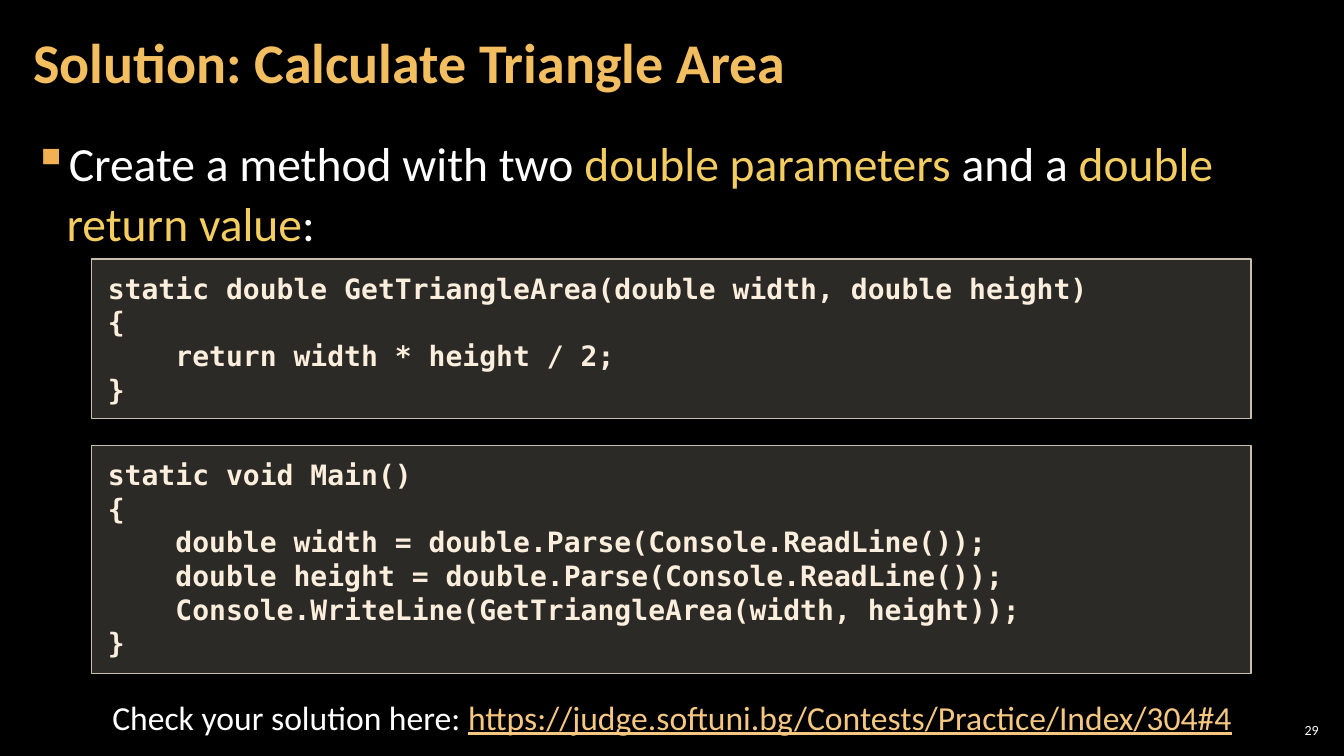
import pptx
import pptx.dml.color
import pptx.enum.shapes
import pptx.enum.text
import pptx.oxml.ns
import pptx.util
from dataclasses import dataclass
from lxml import etree

PX = 9144  # EMU per px, 100 px to the inch
ALIGN = pptx.enum.text.PP_ALIGN
ANCHOR = pptx.enum.text.MSO_ANCHOR
qn = pptx.oxml.ns.qn


@dataclass(frozen=True)
class Theme:
    background: str = "000000"
    text: str = "FFFFFF"
    title: str = "F3BE60"
    accent: str = "F3CD60"
    bullet: str = "F2B254"
    link: str = "F6C781"
    code: str = "FBEEDC"
    panel: str = "D9D5C7"
    panel_line: str = "C7BFAC"
    panel_alpha: int = 20
    font: str = "Calibri"
    code_font: str = "DejaVu Sans Mono"
    title_size: int = 40
    body_size: int = 34
    link_size: int = 24
    code_size: int = 20
    number_size: int = 10


THEME = Theme()

METHOD_CODE = """static double GetTriangleArea(double width, double height)
{
    return width * height / 2;
}"""

MAIN_CODE = """static void Main()
{
    double width = double.Parse(Console.ReadLine());
    double height = double.Parse(Console.ReadLine());
    Console.WriteLine(GetTriangleArea(width, height));
}"""


def px(n):
    return pptx.util.Emu(n * PX)


def rgb(color):
    return pptx.dml.color.RGBColor.from_string(color)


def add_run(p, text, size, color=THEME.text, font=THEME.font, bold=False, underline=False):
    r = p.add_run()
    r.text = text
    r.font.name, r.font.size = font, pptx.util.Pt(size)
    r.font.color.rgb = rgb(color)
    r.font.bold, r.font.underline = bold, underline


def set_frame(sp, inset_x, inset_y, anchor=ANCHOR.TOP):
    tf = sp.text_frame
    tf.word_wrap = True
    tf.vertical_anchor = anchor
    tf.margin_left = tf.margin_right = px(inset_x)
    tf.margin_top = tf.margin_bottom = px(inset_y)
    return tf


def add_box(s, box, inset_x=10, inset_y=5, anchor=ANCHOR.TOP):
    return set_frame(s.shapes.add_textbox(*map(px, box)), inset_x, inset_y, anchor)


def add_bullet(p, char, color, indent):
    pPr = p._p.get_or_add_pPr()
    pPr.set("marL", str(px(indent)))
    pPr.set("indent", str(px(-indent)))
    clr = etree.SubElement(pPr, qn("a:buClr"))
    etree.SubElement(clr, qn("a:srgbClr"), val=color)
    etree.SubElement(pPr, qn("a:buChar"), char=char)


# Title across the top
def add_title(s, box, text):
    p = add_box(s, box, 12, 4, ANCHOR.MIDDLE).paragraphs[0]
    p.line_spacing = 0.9
    add_run(p, text, THEME.title_size, THEME.title, bold=True)


# Bulleted statement with highlighted words
def add_statement(s, box, parts):
    p = add_box(s, box, 12, 4).paragraphs[0]
    add_bullet(p, "▪", THEME.bullet, 33)
    p.line_spacing = 1.05
    for text, color in parts:
        add_run(p, text, THEME.body_size, color)


# Translucent panel with one paragraph per code line
def add_code(s, box, code):
    sp = s.shapes.add_shape(pptx.enum.shapes.MSO_SHAPE.RECTANGLE, *map(px, box))
    sp.shadow.inherit = False
    sp.fill.solid()
    sp.fill.fore_color.rgb = rgb(THEME.panel)
    fill_color = sp._element.spPr.find(qn("a:solidFill")).find(qn("a:srgbClr"))
    etree.SubElement(fill_color, qn("a:alpha"), val=str(THEME.panel_alpha * 1000))
    sp.line.color.rgb = rgb(THEME.panel_line)
    sp.line.width = pptx.util.Pt(1)
    tf = set_frame(sp, 16, 12)
    for i, line in enumerate(code.splitlines()):
        p = tf.add_paragraph() if i else tf.paragraphs[0]
        p.alignment = ALIGN.LEFT
        add_run(p, line, THEME.code_size, THEME.code, THEME.code_font, bold=True)


# Line with the address for checking the solution
def add_check_line(s, box, label, address):
    p = add_box(s, box).paragraphs[0]
    p.alignment = ALIGN.CENTER
    add_run(p, label, THEME.link_size)
    add_run(p, address, THEME.link_size, THEME.link, underline=True)


# Slide number in the corner
def add_number(s, box, number):
    p = add_box(s, box, 4, 4, ANCHOR.MIDDLE).paragraphs[0]
    p.alignment = ALIGN.RIGHT
    add_run(p, number, THEME.number_size)


def build_solution_slide(prs):
    s = prs.slides.add_slide(prs.slide_layouts[6])
    s.background.fill.solid()
    s.background.fill.fore_color.rgb = rgb(THEME.background)
    add_statement(s, (21, 126, 1291, 609), [
        ("Create a method with two ", THEME.text),
        ("double parameters", THEME.accent),
        (" and a ", THEME.text),
        ("double return value", THEME.accent),
        (":", THEME.text),
    ])
    add_number(s, (1265, 714, 47, 21), "29")
    add_title(s, (21, 4, 1047, 121), "Solution: Calculate Triangle Area")
    add_code(s, (91, 257, 1150, 158), METHOD_CODE)
    add_code(s, (91, 442, 1150, 226), MAIN_CODE)
    add_check_line(s, (68, 686, 1197, 50), "Check your solution here: ",
                   "https://judge.softuni.bg/Contests/Practice/Index/304#4")


def main():
    prs = pptx.Presentation()
    prs.slide_width, prs.slide_height = px(1333), px(750)
    build_solution_slide(prs)
    prs.save("out.pptx")


if __name__ == "__main__":
    main()
